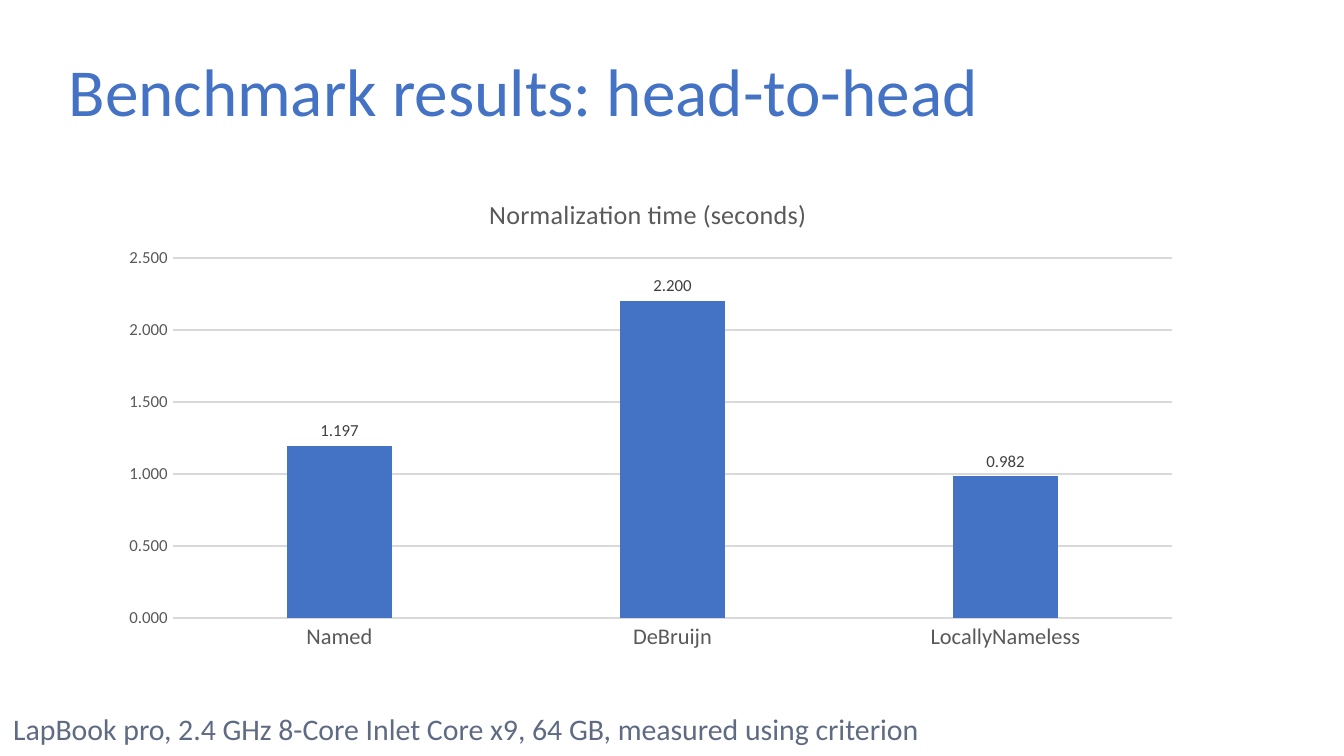
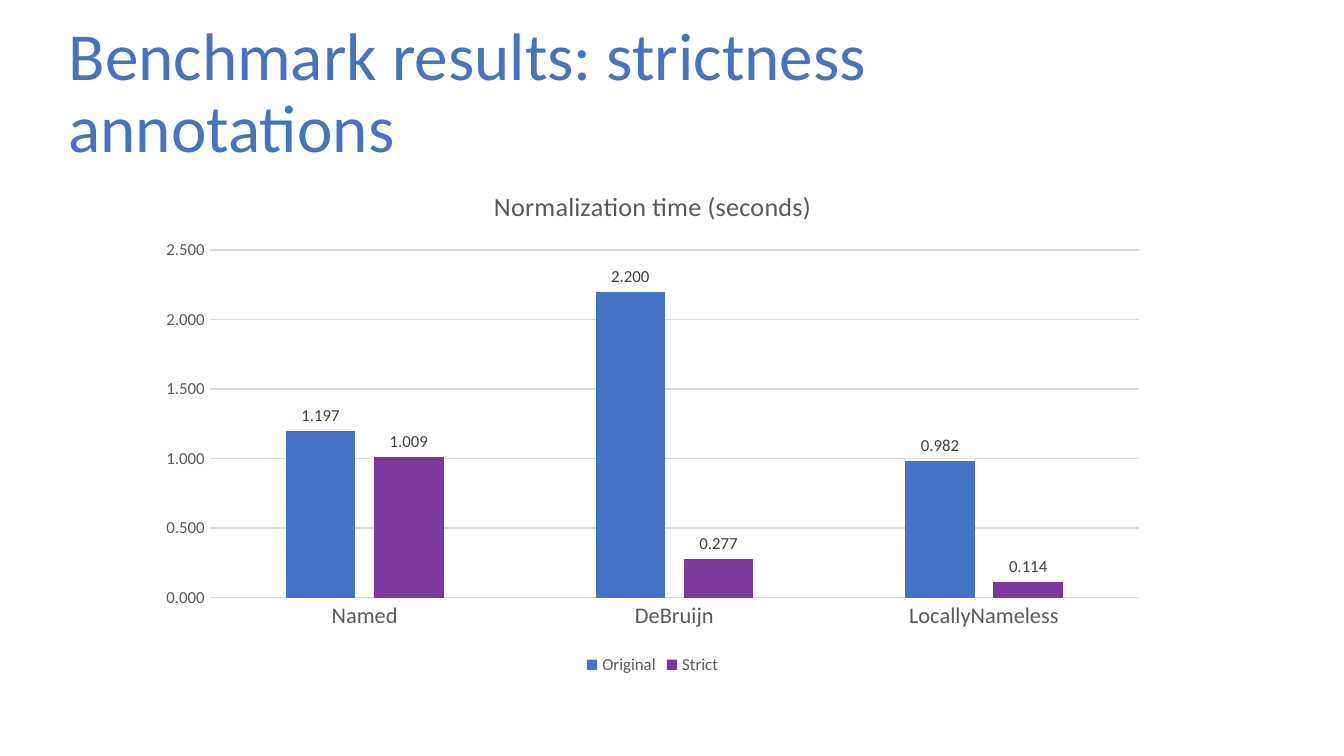
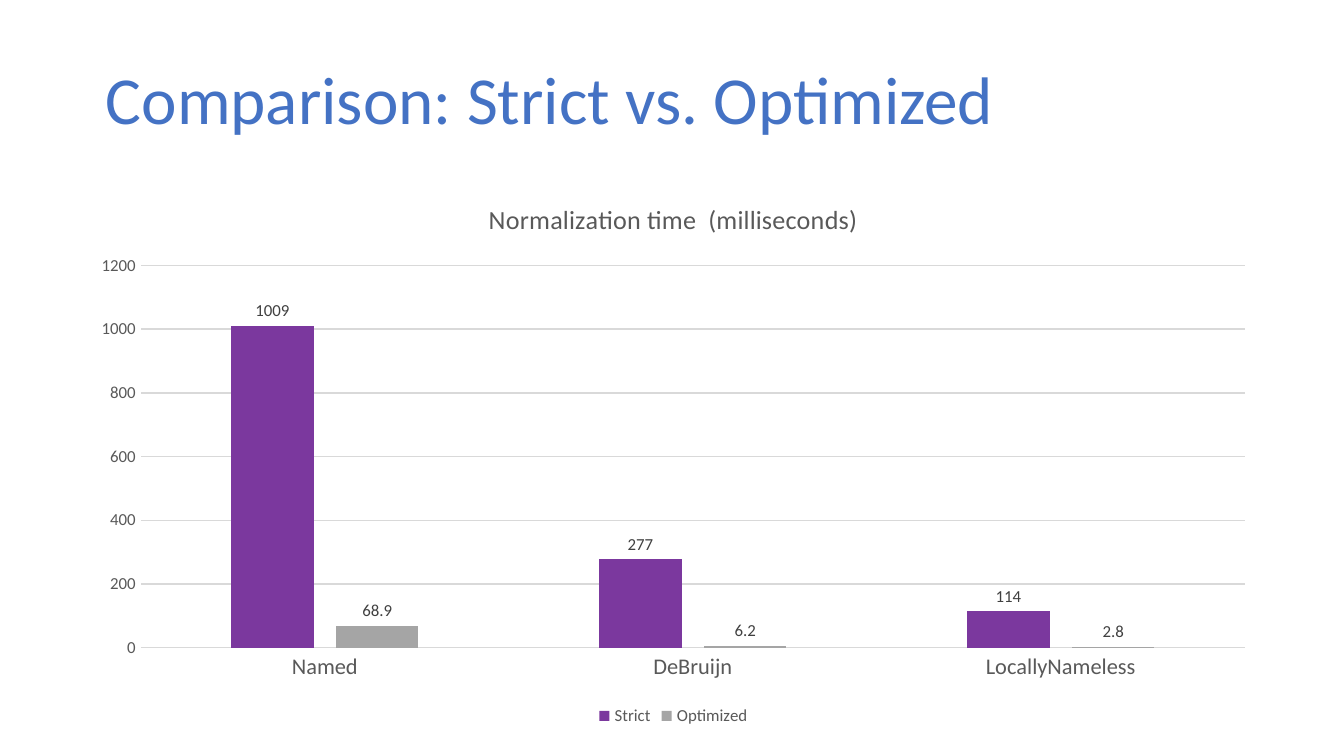
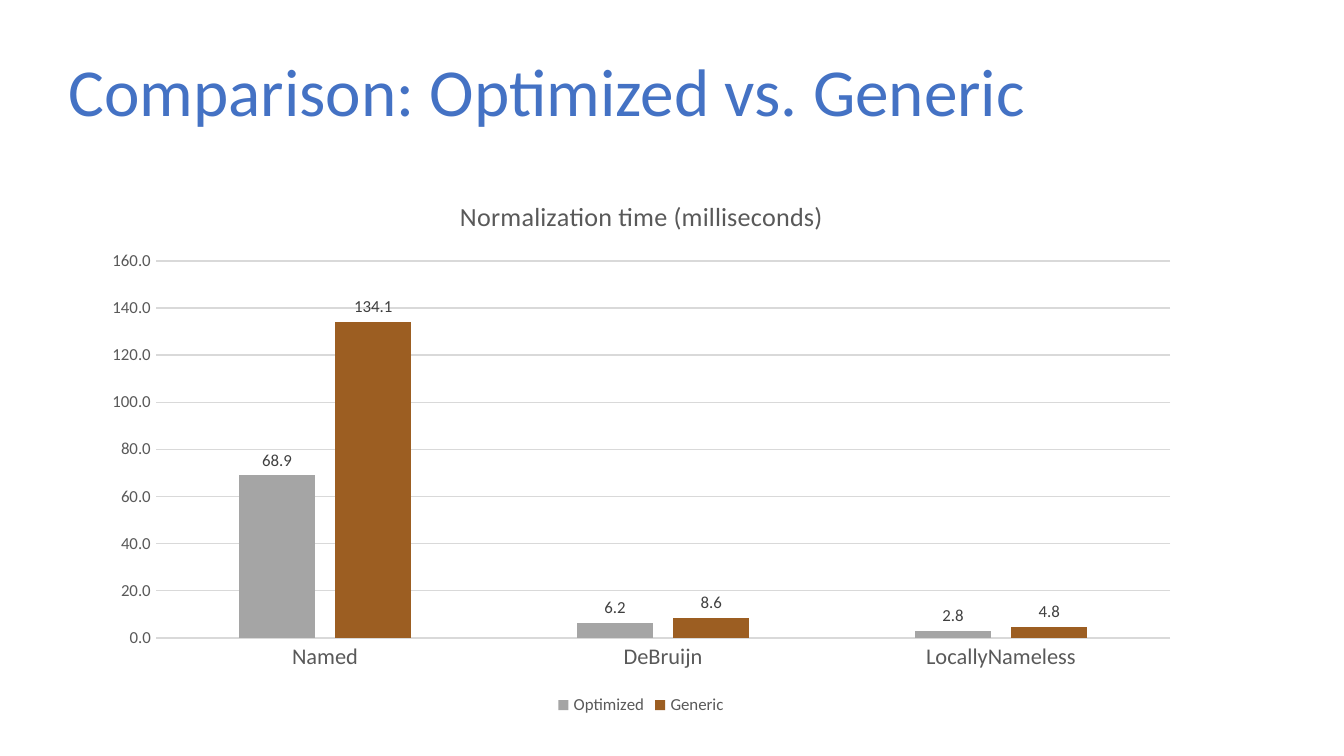
import pptx
import pptx.util
import pptx.dml.color
import pptx.chart.data
import pptx.enum.chart
import pptx.enum.text
import pptx.oxml
import pptx.oxml.ns

Pt = pptx.util.Pt
BLUE, VIOLET, GREY, BROWN = "4472C4", "7B389E", "A5A5A5", "9C5E22"
SLATE, TEXT, LABEL, RULE = "5F6B83", "595959", "404040", "D9D9D9"
FACE = "Calibri"
CATS = ["Named", "DeBruijn", "LocallyNameless"]
HEAD = (29.5, 18.7, 620.6, 64.1)


def tint(code):
    return pptx.dml.color.RGBColor.from_string(code)


def apply(item, form):
    for name, value in form.items():
        setattr(item, name, value)


def style(font, size, code):
    apply(font, {"name": FACE, "size": Pt(size), "bold": False})
    font.color.rgb = tint(code)


def rule(line):
    line.color.rgb = tint(RULE)
    line.width = Pt(0.75)


def write(frame, text, size, code):
    para = frame.paragraphs[0]
    run = para.add_run()
    run.text = text
    style(run.font, size, code)
    return para


def title(slide, text, box):
    shape = slide.shapes.title
    sides = ("left", "top", "width", "height")
    apply(shape, dict(zip(sides, map(Pt, box))))
    frame = shape.text_frame
    apply(frame, {
        "word_wrap": True,
        "auto_size": pptx.enum.text.MSO_AUTO_SIZE.NONE,
        "vertical_anchor": pptx.enum.text.MSO_ANCHOR.MIDDLE,
    })
    para = write(frame, text, 36, BLUE)
    apply(para, {"alignment": pptx.enum.text.PP_ALIGN.LEFT, "line_spacing": 0.9})


def note(slide, text, box):
    frame = slide.shapes.add_textbox(*map(Pt, box)).text_frame
    apply(frame, {
        "word_wrap": False,
        "auto_size": pptx.enum.text.MSO_AUTO_SIZE.SHAPE_TO_FIT_TEXT,
    })
    write(frame, text, 16, SLATE)


def place(node, index, parts, inner=False):
    for old in node.findall(pptx.oxml.ns.qn("c:layout")):
        node.remove(old)
    tags = '<c:layoutTarget val="inner"/>' if inner else ""
    tags += '<c:xMode val="edge"/><c:yMode val="edge"/>'
    tags += "".join(f'<c:{key} val="{val:.4f}"/>' for key, val in parts.items())
    node.insert(index, pptx.oxml.parse_xml(
        f'<c:layout {pptx.oxml.ns.nsdecls("c")}>'
        f"<c:manualLayout>{tags}</c:manualLayout></c:layout>"))


def axes(chart, form, top, step):
    none = pptx.enum.chart.XL_TICK_MARK.NONE
    for axis, size in ((chart.category_axis, 12), (chart.value_axis, 9)):
        apply(axis, {"major_tick_mark": none, "minor_tick_mark": none})
        style(axis.tick_labels.font, size, TEXT)
    rule(chart.category_axis.format.line)
    axis = chart.value_axis
    apply(axis, {"minimum_scale": 0, "maximum_scale": top, "major_unit": step,
                 "has_major_gridlines": True})
    axis.format.line.fill.background()
    rule(axis.major_gridlines.format.line)
    apply(axis.tick_labels, {"number_format": form, "number_format_is_linked": False})


def bars(chart, rows):
    plot = chart.plots[0]
    apply(plot, {"gap_width": 219, "overlap": -27, "vary_by_categories": False})
    for item, (name, code, form, vals) in zip(plot.series, rows):
        item.invert_if_negative = False
        item.format.fill.solid()
        item.format.fill.fore_color.rgb = tint(code)
        tags = item.data_labels
        apply(tags, {
            "show_value": True, "number_format": form,
            "number_format_is_linked": False,
            "position": pptx.enum.chart.XL_LABEL_POSITION.OUTSIDE_END,
        })
        style(tags.font, 9, LABEL)


def graph(slide, box, plot, head, span, rows, form, top, step):
    data = pptx.chart.data.CategoryChartData()
    data.categories = CATS
    for name, code, kind, vals in rows:
        data.add_series(name, vals, kind)
    chart = slide.shapes.add_chart(
        pptx.enum.chart.XL_CHART_TYPE.COLUMN_CLUSTERED, *map(Pt, box), data).chart
    style(chart.font, 10, "000000")
    axes(chart, form, top, step)
    bars(chart, rows)

    chart.has_title = True
    write(chart.chart_title.text_frame, head, 14, TEXT)
    chart.chart_title.include_in_layout = False
    chart.has_legend = len(rows) > 1
    if chart.has_legend:
        apply(chart.legend, {
            "position": pptx.enum.chart.XL_LEGEND_POSITION.BOTTOM,
            "include_in_layout": False,
        })
        style(chart.legend.font, 9, TEXT)

    left, upper, wide, high = box
    x, y, w, h = plot
    root = chart.element
    place(root.xpath("c:chart/c:title")[0], 1,
          {"x": (wide - span) / 2 / wide, "y": 0.032})
    place(root.xpath("c:chart/c:plotArea")[0], 0,
          {"x": (x - left) / wide, "y": (y - upper) / high,
           "w": w / wide, "h": h / high}, True)


FIRST = (1.197, 2.2, 0.982)
FAST = ("Optimized", GREY, "0.0", (68.9, 6.2, 2.8))
SEC = "Normalization time (seconds)"

PAGES = [
    ("Benchmark results: head-to-head", HEAD, dict(
        box=(57.6, 94.3, 581.8, 259.2), plot=(92.7, 138.2, 535.2, 192.9),
        head=SEC, span=178, form="0.000", top=2.5, step=0.5,
        rows=[("Series 1", BLUE, "0.000", FIRST)])),
    ("Benchmark results: strictness annotations", HEAD, dict(
        box=(78.5, 89.3, 542.2, 275), plot=(112.5, 133.9, 497.7, 186.4),
        head=SEC, span=175, form="0.000", top=2.5, step=0.5,
        rows=[("Original", BLUE, "0.000", FIRST),
              ("Strict", VIOLET, "0.000", (1.009, 0.277, 0.114))])),
    ("Comparison: Strict vs. Optimized", (49.5, 23, 620.6, 64.1), dict(
        box=(41.8, 95.8, 637.9, 295.9), plot=(75.5, 142.2, 591.4, 204.9),
        head="Normalization time  (milliseconds)", span=203,
        form="0", top=1200, step=200,
        rows=[("Strict", VIOLET, "0", (1009, 277, 114)), FAST])),
    ("Comparison: Optimized vs. Generic", HEAD, dict(
        box=(48.2, 94.3, 590.4, 291.6), plot=(83.6, 139.8, 543.2, 202),
        head="Normalization time (milliseconds)", span=199,
        form="0.0", top=160, step=20,
        rows=[FAST, ("Generic", BROWN, "0.0", (134.1, 8.6, 4.8))])),
]

deck = pptx.Presentation()
apply(deck, {"slide_width": Pt(720), "slide_height": Pt(405)})
for text, box, view in PAGES:
    slide = deck.slides.add_slide(deck.slide_layouts[5])
    title(slide, text, box)
    graph(slide, **view)
note(deck.slides[0],
     "LapBook pro, 2.4 GHz 8-Core Inlet Core x9, 64 GB, measured using criterion",
     (0, 377.3, 508.3, 26.6))
deck.save("out.pptx")
